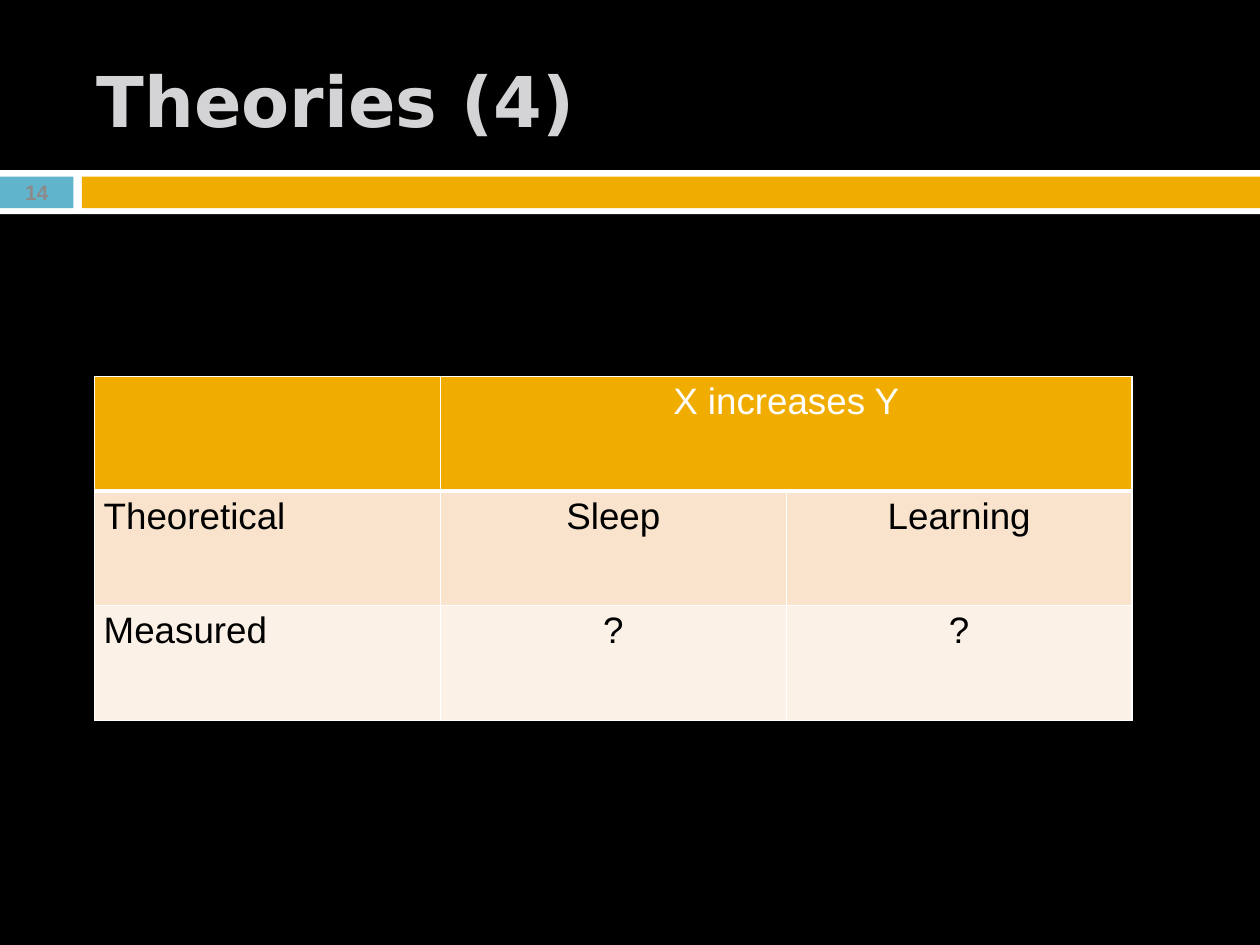
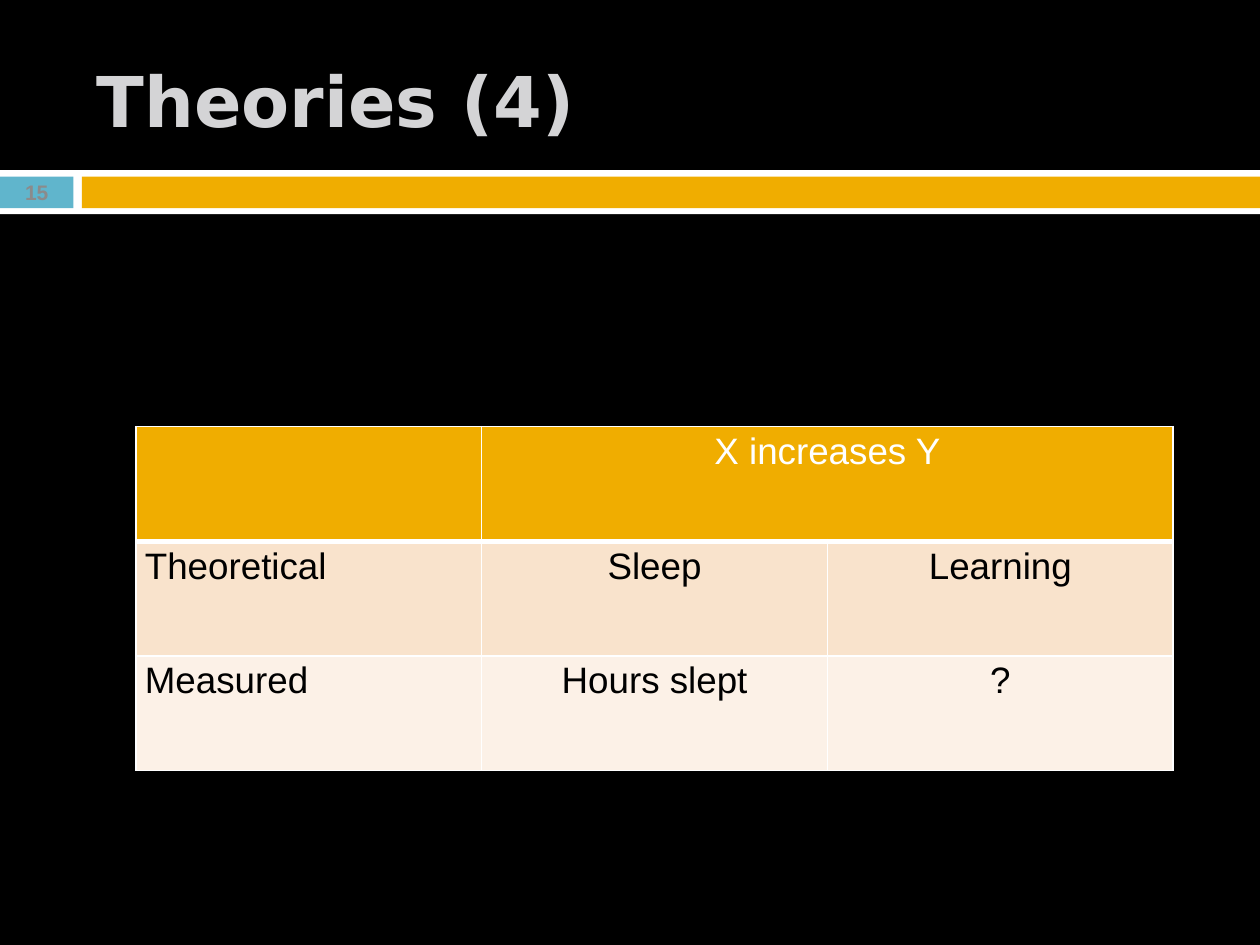
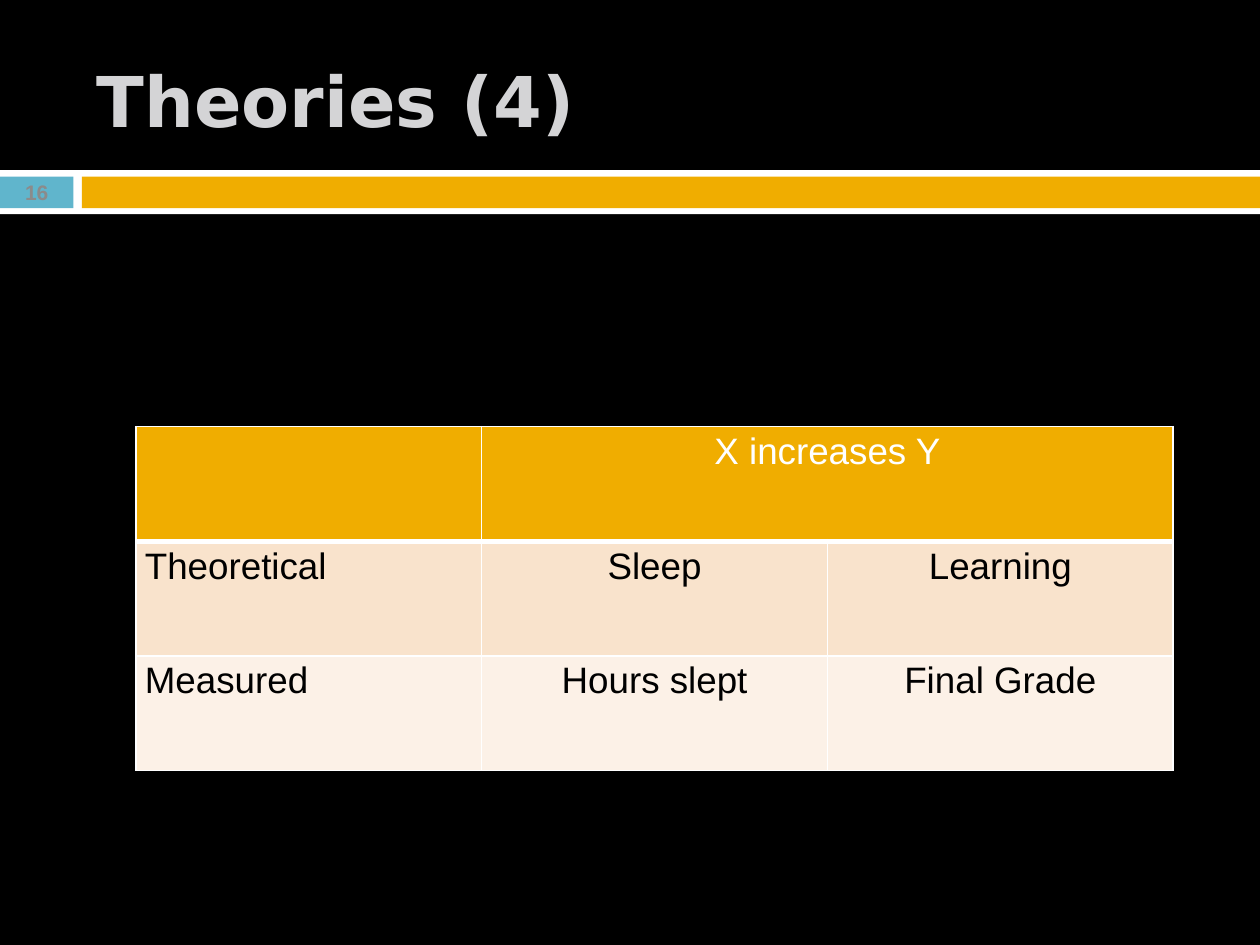
"""Three slides on theories, each with a table of theoretical and measured variables."""
from dataclasses import dataclass

from lxml.etree import SubElement
from pptx import Presentation
from pptx.dml.color import RGBColor
from pptx.enum.shapes import MSO_SHAPE
from pptx.enum.text import MSO_ANCHOR, MSO_AUTO_SIZE, PP_ALIGN
from pptx.oxml.ns import qn
from pptx.slide import Slide, SlideLayout
from pptx.table import _Cell
from pptx.util import Cm, Pt

BLACK = RGBColor(0x00, 0x00, 0x00)
WHITE = RGBColor(0xFF, 0xFF, 0xFF)
BLUE = RGBColor(0x60, 0xB5, 0xCC)
GOLD = RGBColor(0xF0, 0xAD, 0x00)
PEACH = RGBColor(0xF9, 0xE3, 0xCC)
CREAM = RGBColor(0xFC, 0xF1, 0xE7)
SILVER = RGBColor(0xD4, 0xD4, 0xD6)
GRAY = RGBColor(0x8B, 0x8B, 0x8B)

TITLE_FONT = "DejaVu Sans"
BODY_FONT = "Arial"
FIRST_NUMBER = 14
COL_WIDTH = Cm(6.97)
ROW_HEIGHT = Cm(2.31)
ROW_FILLS = (GOLD, PEACH, CREAM)


@dataclass(frozen=True)
class Band:
    left: float
    top: float
    width: float
    height: float
    color: RGBColor


@dataclass(frozen=True)
class TheorySlide:
    left: float
    top: float
    measured: tuple[str, str]


NUMBER_BAND = Band(0, 3.56, 1.48, 0.64, BLUE)
BANDS = (
    Band(0, 3.43, 25.4, 0.89, WHITE),
    NUMBER_BAND,
    Band(1.65, 3.56, 23.75, 0.64, GOLD),
)
SLIDES = (
    TheorySlide(1.91, 7.59, ("?", "?")),
    TheorySlide(2.74, 8.6, ("Hours slept", "?")),
    TheorySlide(2.74, 8.6, ("Hours slept", "Final Grade")),
)


def add_bands(slide: Slide, layout: SlideLayout) -> None:
    """Draw the bands and move them to the layout."""
    for band in BANDS:
        sp = slide.shapes.add_shape(MSO_SHAPE.RECTANGLE, Cm(band.left), Cm(band.top),
                                    Cm(band.width), Cm(band.height))
        sp.shadow.inherit = False
        sp.fill.solid()
        sp.fill.fore_color.rgb = band.color
        sp.line.fill.background()
        layout.shapes.element.append(sp.element)


def set_title(slide: Slide, text: str) -> None:
    """Place and format the title."""
    title = slide.shapes.title
    title.left, title.top, title.width, title.height = Cm(1.7), Cm(0.64), Cm(22.66), Cm(2.74)
    tf = title.text_frame
    tf.text = text
    tf.auto_size = MSO_AUTO_SIZE.NONE
    tf.vertical_anchor = MSO_ANCHOR.MIDDLE
    p = tf.paragraphs[0]
    p.alignment = PP_ALIGN.LEFT
    p.font.name, p.font.size, p.font.bold = TITLE_FONT, Pt(40), True
    p.font.color.rgb = SILVER


def add_number(slide: Slide, number: int) -> None:
    """Write the slide number over the blue band."""
    band = NUMBER_BAND
    tb = slide.shapes.add_textbox(Cm(band.left), Cm(band.top), Cm(band.width), Cm(band.height))
    tf = tb.text_frame
    tf.word_wrap = True
    tf.margin_left = tf.margin_right = tf.margin_top = tf.margin_bottom = 0
    tf.vertical_anchor = MSO_ANCHOR.MIDDLE
    tf.text = str(number)
    p = tf.paragraphs[0]
    p.alignment = PP_ALIGN.CENTER
    p.font.name, p.font.size, p.font.bold = BODY_FONT, Pt(12), True
    p.font.color.rgb = GRAY


def set_borders(cell: _Cell, bottom: int) -> None:
    """Give a cell white borders, with the bottom width in points."""
    tc_pr = cell._tc.get_or_add_tcPr()
    for side, width in (("L", 1), ("R", 1), ("T", 1), ("B", bottom)):
        ln = SubElement(tc_pr, qn(f"a:ln{side}"), w=str(Pt(width)))
        fill = SubElement(ln, qn("a:solidFill"))
        SubElement(fill, qn("a:srgbClr"), val=str(WHITE))


def add_theory_table(slide: Slide, theory: TheorySlide) -> None:
    """Draw the table of theoretical and measured variables."""
    rows = (
        ("", "X increases Y", ""),
        ("Theoretical", "Sleep", "Learning"),
        ("Measured", *theory.measured),
    )
    table = slide.shapes.add_table(3, 3, Cm(theory.left), Cm(theory.top),
                                   3 * COL_WIDTH, 3 * ROW_HEIGHT).table
    for col in table.columns:
        col.width = COL_WIDTH
    for i, (texts, color) in enumerate(zip(rows, ROW_FILLS)):
        table.rows[i].height = ROW_HEIGHT
        for j, text in enumerate(texts):
            cell = table.cell(i, j)
            set_borders(cell, bottom=3 if i == 0 else 1)
            cell.fill.solid()
            cell.fill.fore_color.rgb = color
            cell.margin_left = cell.margin_right = Cm(0.18)
            cell.margin_top = cell.margin_bottom = Cm(0.1)
            cell.text = text
            p = cell.text_frame.paragraphs[0]
            p.alignment = PP_ALIGN.CENTER if j else PP_ALIGN.LEFT
            p.font.name, p.font.size, p.font.bold = BODY_FONT, Pt(21), False
            p.font.color.rgb = BLACK if i else WHITE
    table.cell(0, 1).merge(table.cell(0, 2))


def main() -> None:
    """Build and save the presentation."""
    prs = Presentation()
    prs.slide_width, prs.slide_height = Cm(25.4), Cm(19.05)
    background = prs.slide_master.background.fill
    background.solid()
    background.fore_color.rgb = BLACK
    layout = prs.slide_layouts.get_by_name("Title Only")
    for number, theory in enumerate(SLIDES, FIRST_NUMBER):
        slide = prs.slides.add_slide(layout)
        if number == FIRST_NUMBER:
            add_bands(slide, layout)
        set_title(slide, "Theories (4)")
        add_number(slide, number)
        add_theory_table(slide, theory)
    prs.save("out.pptx")


if __name__ == "__main__":
    main()
